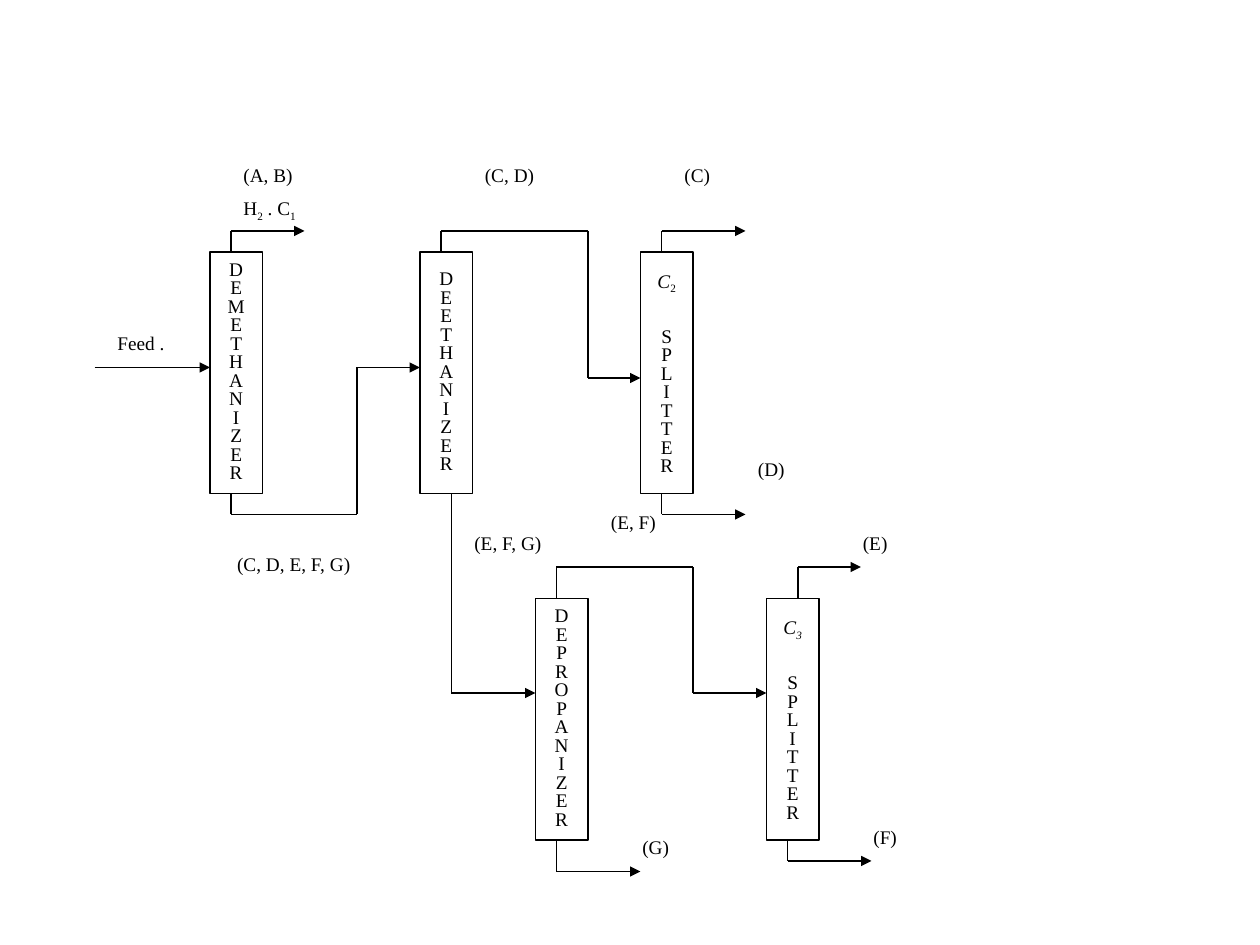
"""Draw the distillation train that separates a cracked gas feed."""
from itertools import pairwise

from lxml import etree
from pptx import Presentation
from pptx.dml.color import RGBColor
from pptx.enum import shapes, text
from pptx.oxml.ns import qn
from pptx.util import Inches, Pt

COLOURS = {"ink": "000000", "paper": "FFFFFF"}
FONT = "Times New Roman"
UNITS_PER_INCH = 12
COLUMN_SIZE = (5, 23)

COLUMNS = [
    {"at": (20, 24), "name": "DEMETHANIZER"},
    {"at": (40, 24), "name": "DEETHANIZER"},
    {"at": (61, 24), "name": "SPLITTER", "cut": "2", "italic_cut": False},
    {"at": (51, 57), "name": "DEPROPANIZER"},
    {"at": (73, 57), "name": "SPLITTER", "cut": "3", "italic_cut": True},
]

STREAMS = [
    [(9, 35), (20, 35)],
    [(22, 24), (22, 22), (29, 22)],
    [(22, 47), (22, 49), (34, 49), (34, 35), (40, 35)],
    [(42, 24), (42, 22), (56, 22), (56, 36), (61, 36)],
    [(43, 47), (43, 66), (51, 66)],
    [(63, 24), (63, 22), (71, 22)],
    [(63, 47), (63, 49), (71, 49)],
    [(53, 57), (53, 54), (66, 54), (66, 66), (73, 66)],
    [(53, 80), (53, 83), (61, 83)],
    [(76, 57), (76, 54), (82, 54)],
    [(75, 80), (75, 82), (83, 82)],
]

LABELS = [
    ((10, 31, 11, 3.4), "Feed ."),
    ((22, 15, 13, 6.2), "(A, B)"),
    ((45, 15, 11, 6.2), "(C, D)"),
    ((64, 15, 8, 6.7), "(C)"),
    ((71, 43, 10, 6.2), "(D)"),
    ((21.4, 52, 16.6, 3.4), "(C, D, E, F, G)"),
    ((44, 50, 11, 3.4), "(E, F, G)"),
    ((57, 48, 8, 3.4), "(E, F)"),
    ((81, 50, 6, 3.4), "(E)"),
    ((60, 79, 5, 3.4), "(G)"),
    ((82, 78, 5, 3.4), "(F)"),
]
LIGHT_GASES = [("H", False), ("2", True), (" . C", False), ("1", True)]


def grid(*units):
    return [Inches(unit / UNITS_PER_INCH) for unit in units]


def colour(name):
    return RGBColor.from_string(COLOURS[name])


def style(run, subscript=False, italic=False):
    run.font.name, run.font.size = FONT, Pt(11)
    run.font.italic = italic
    run.font.color.rgb = colour("ink")
    if subscript:
        run.font._element.set("baseline", "-25000")


def add_run(paragraph, words, **look):
    run = paragraph.add_run()
    run.text = words
    style(run, **look)


def draw_column(slide, column):
    tower = slide.shapes.add_shape(
        shapes.MSO_SHAPE.RECTANGLE, *grid(*column["at"], *COLUMN_SIZE))
    tower.shadow.inherit = False
    tower.fill.solid()
    tower.fill.fore_color.rgb = colour("paper")
    tower.line.color.rgb = colour("ink")
    tower.line.width = Pt(0.75)
    frame = tower.text_frame
    frame.word_wrap = False
    frame.vertical_anchor = text.MSO_ANCHOR.MIDDLE
    frame.text = "\n".join(column["name"])
    for letter in frame.paragraphs:
        letter.alignment = text.PP_ALIGN.CENTER
        letter.line_spacing = 0.8
        style(letter.runs[0])
    if "cut" in column:
        first_letter = frame.paragraphs[0]
        first_letter.space_before = Pt(19)
        cut = frame.add_paragraph()
        cut.alignment = text.PP_ALIGN.CENTER
        add_run(cut, "C", italic=True)
        add_run(cut, column["cut"], subscript=True, italic=column["italic_cut"])
        first_letter._p.addprevious(cut._p)


def draw_stream(slide, points):
    for start, end in pairwise(points):
        pipe = slide.shapes.add_connector(
            shapes.MSO_CONNECTOR.STRAIGHT, *grid(*start, *end))
        pipe.line.color.rgb = colour("ink")
        pipe.line.width = Pt(0.75)
        properties = pipe._element.spPr
        etree.SubElement(properties, qn("a:effectLst"))
        if end == points[-1]:
            etree.SubElement(properties.find(qn("a:ln")), qn("a:tailEnd"), type="triangle")


def draw_label(slide, place, words):
    frame = slide.shapes.add_textbox(*grid(*place)).text_frame
    frame.word_wrap = True
    frame.auto_size = text.MSO_AUTO_SIZE.SHAPE_TO_FIT_TEXT
    frame.text = words
    style(frame.paragraphs[0].runs[0])
    return frame


def main():
    deck = Presentation()
    deck.slide_width, deck.slide_height = Inches(10), Inches(7.5)
    slide = deck.slides.add_slide(deck.slide_layouts[6])
    for column in COLUMNS:
        draw_column(slide, column)
    for points in STREAMS:
        draw_stream(slide, points)
    frames = {words: draw_label(slide, place, words) for place, words in LABELS}
    gases = frames["(A, B)"].add_paragraph()
    gases.line_spacing, gases.space_before = 0.8, Pt(7)
    for words, subscript in LIGHT_GASES:
        add_run(gases, words, subscript=subscript)
    deck.save("out.pptx")


if __name__ == "__main__":
    main()
